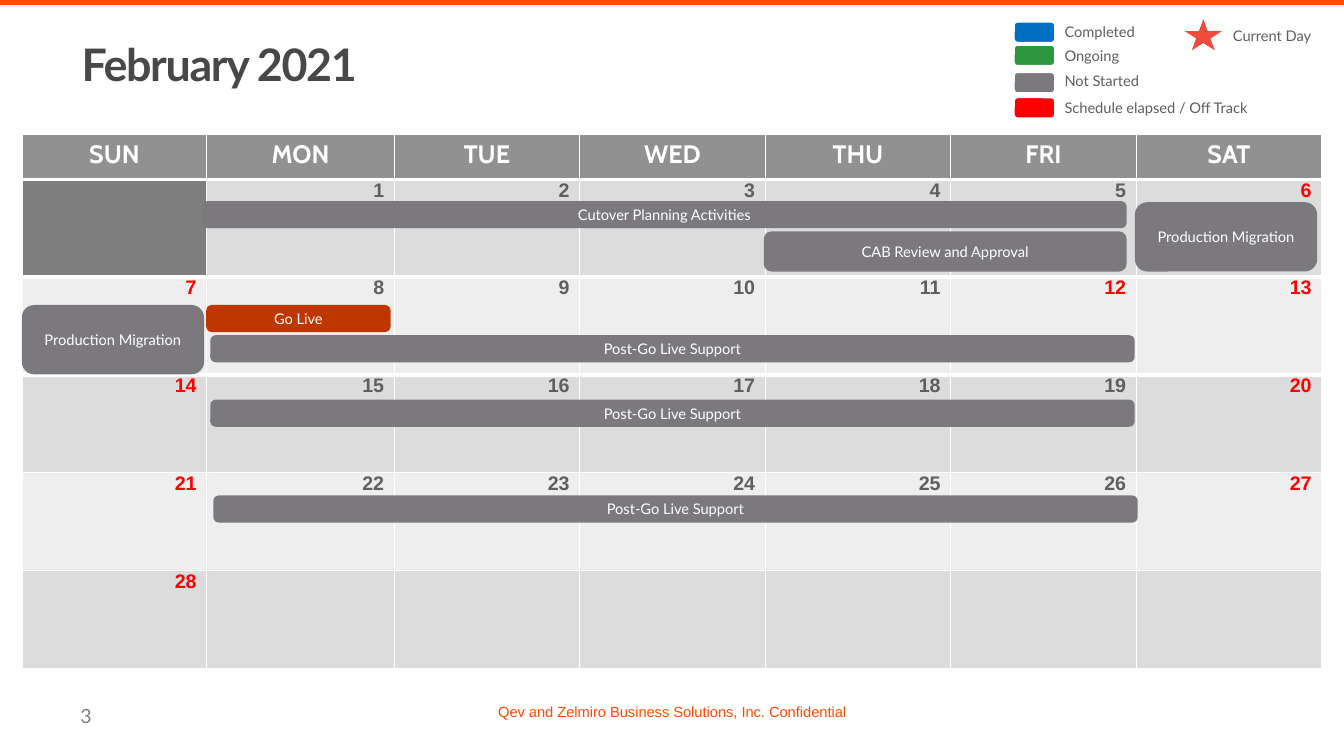
from typing import NamedTuple

from lxml.etree import SubElement as Sub
from pptx import Presentation
from pptx.dml.color import RGBColor
from pptx.enum.shapes import MSO_CONNECTOR as Line, MSO_SHAPE as Kind
from pptx.enum.text import MSO_ANCHOR as Anchor, PP_ALIGN as Align
from pptx.oxml.ns import qn
from pptx.util import Inches, Pt

WHITE, GREY, INK = "FFFFFF", "7B797E", "5F5E61"
ORANGE, RED = "FF4A00", "FF0000"


class Box(NamedTuple):
    left: float
    top: float
    width: float
    height: float


class Font(NamedTuple):
    size: float
    color: str
    name: str = "Lato"
    bold: bool = False


class Key(NamedTuple):
    label: str
    color: str
    top: float
    text_top: float


class Task(NamedTuple):
    label: str
    box: Box
    color: str = GREY


KEYS = [
    Key("Completed", "0070C0", 0.22, 0.18),
    Key("Ongoing", "2C973E", 0.45, 0.42),
    Key("Not Started", GREY, 0.72, 0.66),
    Key("Schedule elapsed / Off Track", RED, 0.97, 0.93),
]
LONG, SHORT = 9.14, 0.24
TASKS = [
    Task("Cutover Planning Activities", Box(2.02, 2.01, LONG, SHORT)),
    Task("Go Live", Box(2.06, 3.04, 1.8, SHORT), "BF3700"),
    Task("Production Migration", Box(11.27, 2.02, 1.78, 0.66)),
    Task("Production Migration", Box(0.23, 3.04, 1.78, 0.66)),
    Task("CAB Review and Approval", Box(7.59, 2.31, 3.57, 0.37)),
    Task("Post-Go Live Support", Box(2.1, 3.34, LONG, SHORT)),
    Task("Post-Go Live Support", Box(2.1, 3.98, LONG, SHORT)),
    Task("Post-Go Live Support", Box(2.13, 4.93, LONG, SHORT)),
]
DAYS = ["SUN", "MON", "TUE", "WED", "THU", "FRI", "SAT"]
WIDTHS = [1.83, 1.86] + [1.84] * 5
HEIGHTS = [0.45] + [0.97] * 5
LAST_DAY, DAYS_OFF = 28, {12}
# Top and bottom border widths of each row
EDGES = [(1, 3), (3, 3), (3, 3), (3, 1), (1, 1), (1, 1)]
SMALL = Font(10.5, INK)

deck = Presentation()
deck.slide_width, deck.slide_height = Inches(13.33), Inches(7.5)
slide = deck.slides.add_slide(deck.slide_layouts[6])
shapes = slide.shapes


def rgb(color: str) -> RGBColor:
    return RGBColor.from_string(color)


def place(box: Box) -> list:
    return [Inches(side) for side in box]


def write(frame, text: str, font: Font, align=Align.LEFT):
    par = frame.paragraphs[0]
    par.alignment = align
    run = par.add_run()
    run.text = text
    run.font.size, run.font.name, run.font.bold = Pt(font.size), font.name, font.bold
    run.font.color.rgb = rgb(font.color)
    return run


def add_text(box: Box, text: str, font: Font, align=Align.LEFT,
             anchor=Anchor.TOP, flush: bool = True):
    frame = shapes.add_textbox(*place(box)).text_frame
    frame.word_wrap, frame.vertical_anchor = True, anchor
    if flush:
        frame.margin_left = frame.margin_right = 0
        frame.margin_top = frame.margin_bottom = 0
    return write(frame, text, font, align)


def add_block(kind, box: Box, color: str, edge: str = "", width: float = 0):
    shape = shapes.add_shape(kind, *place(box))
    shape.shadow.inherit = False
    shape.fill.solid()
    shape.fill.fore_color.rgb = rgb(color)
    if edge:
        shape.line.color.rgb, shape.line.width = rgb(edge), Pt(width)
    else:
        shape.line.fill.background()
    return shape


def paint(cell, color: str, top: float, bottom: float) -> None:
    props = cell._tc.get_or_add_tcPr()
    for side, width in zip("LRTB", (1, 1, top, bottom)):
        line = Sub(props, qn("a:ln" + side), w=str(Pt(width)))
        Sub(Sub(line, qn("a:solidFill")), qn("a:srgbClr"), val=WHITE)
    cell.fill.solid()
    cell.fill.fore_color.rgb = rgb(color)


def add_month(box: Box) -> None:
    table = shapes.add_table(len(HEIGHTS), len(DAYS), *place(box)).table
    table.first_row = table.horz_banding = False
    for col, width in zip(table.columns, WIDTHS):
        col.width = Inches(width)
    for row, height in zip(table.rows, HEIGHTS):
        row.height = Inches(height)
    for week, edges in enumerate(EDGES):
        for col, name in enumerate(DAYS):
            cell = table.cell(week, col)
            day = (week - 1) * 7 + col
            if week == 0:
                paint(cell, "919191", *edges)
                write(cell.text_frame, name, Font(18, WHITE, "Cabin", True), Align.CENTER)
                continue
            shade = "DCDCDC" if week % 2 else "EEEEEE"
            paint(cell, shade if day else "7F7F7F", *edges)
            cell.margin_top = 0
            if 1 <= day <= LAST_DAY:
                free = col in (0, 6) or day in DAYS_OFF
                font = Font(14, RED if free else INK, "Arial", True)
                write(cell.text_frame, str(day), font, Align.RIGHT)


# Top rule
rule = shapes.add_connector(Line.STRAIGHT, 0, Inches(0.02), deck.slide_width, Inches(0.02))
rule.line.color.rgb, rule.line.width = rgb(ORANGE), Pt(4.5)
Sub(rule._element.spPr, qn("a:effectLst"))

# Title and footer
title = add_text(Box(0.81, 0.26, 9, 0.75), "February 2021",
                 Font(32, "484848", bold=True), anchor=Anchor.MIDDLE)
title.font._element.set("spc", "-100")
add_text(Box(0.65, 6.98, 0.26, 0.24), "3", Font(14, "808080"), Align.RIGHT)
add_text(Box(2.54, 6.98, 8.26, 0.17), "Qev and Zelmiro Business Solutions, Inc. Confidential",
         Font(10.5, ORANGE, "Arial"), Align.CENTER, Anchor.MIDDLE)

# Legend
for key in KEYS:
    add_block(Kind.ROUNDED_RECTANGLE, Box(10.06, key.top, 0.4, 0.2), key.color, WHITE, 0.75)
    add_text(Box(10.46, key.text_top, 2.29, 0.28), key.label, SMALL, flush=False)
add_block(Kind.STAR_5_POINT, Box(11.75, 0.19, 0.37, 0.31), "F04C3E")
add_text(Box(12.13, 0.22, 1.06, 0.28), "Current Day", SMALL, flush=False)

# Calendar and task bars
add_month(Box(0.22, 1.33, sum(WIDTHS), sum(HEIGHTS)))
for task in TASKS:
    bar = add_block(Kind.ROUNDED_RECTANGLE, task.box, task.color, task.color, 2)
    bar.text_frame.word_wrap = True
    bar.text_frame.vertical_anchor = Anchor.MIDDLE
    write(bar.text_frame, task.label, Font(10.5, WHITE), Align.CENTER)

deck.save("out.pptx")
